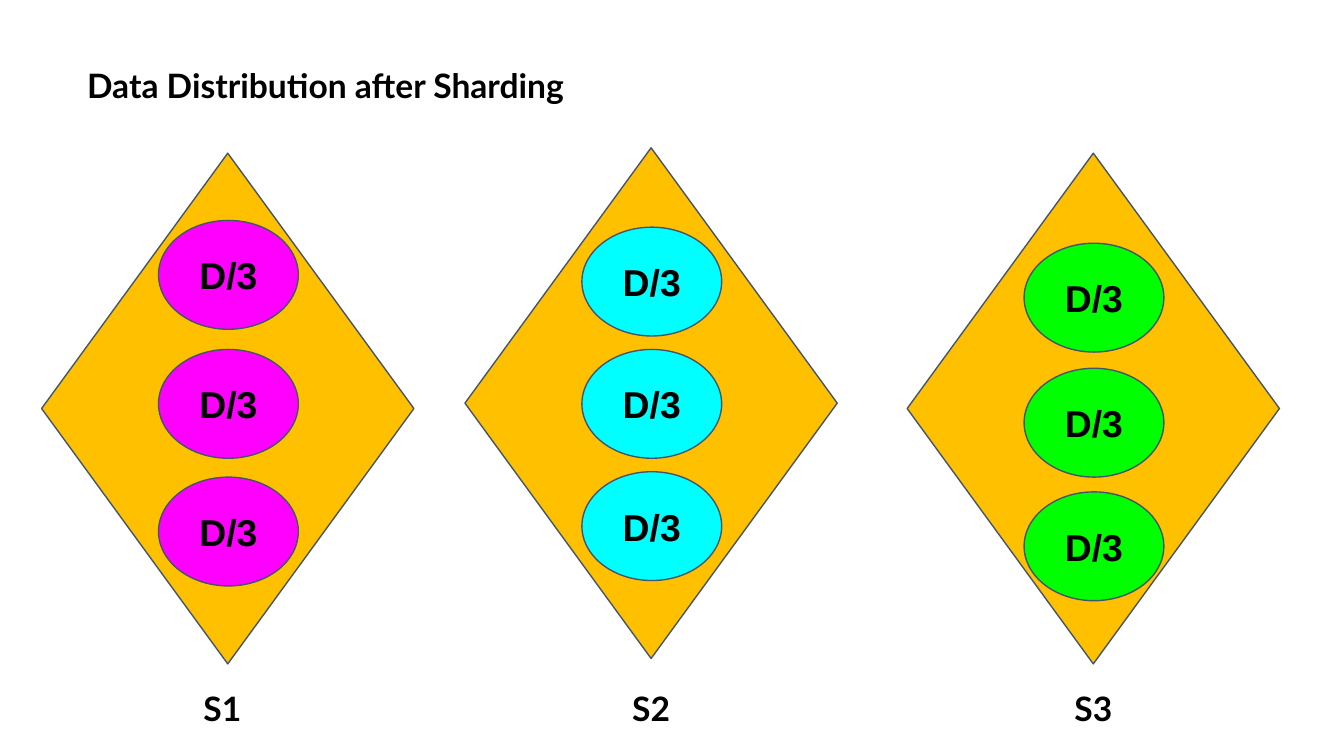
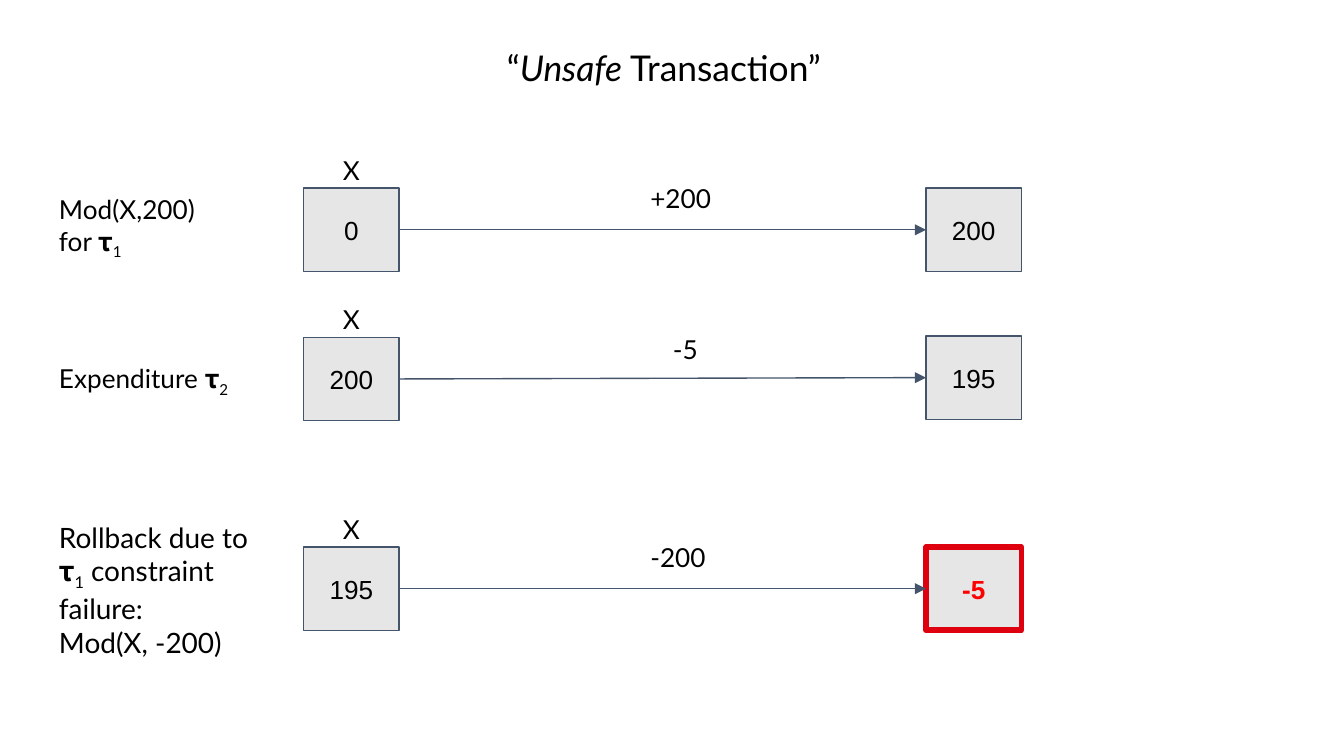
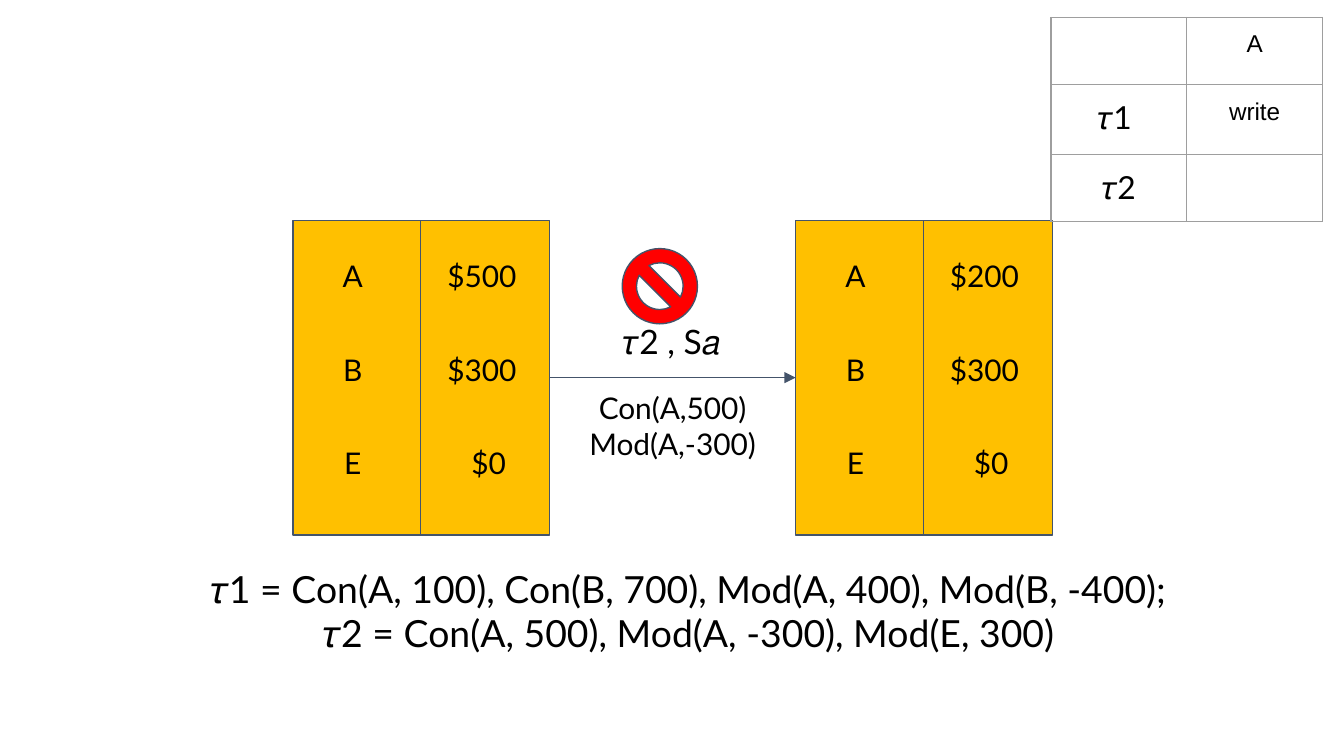
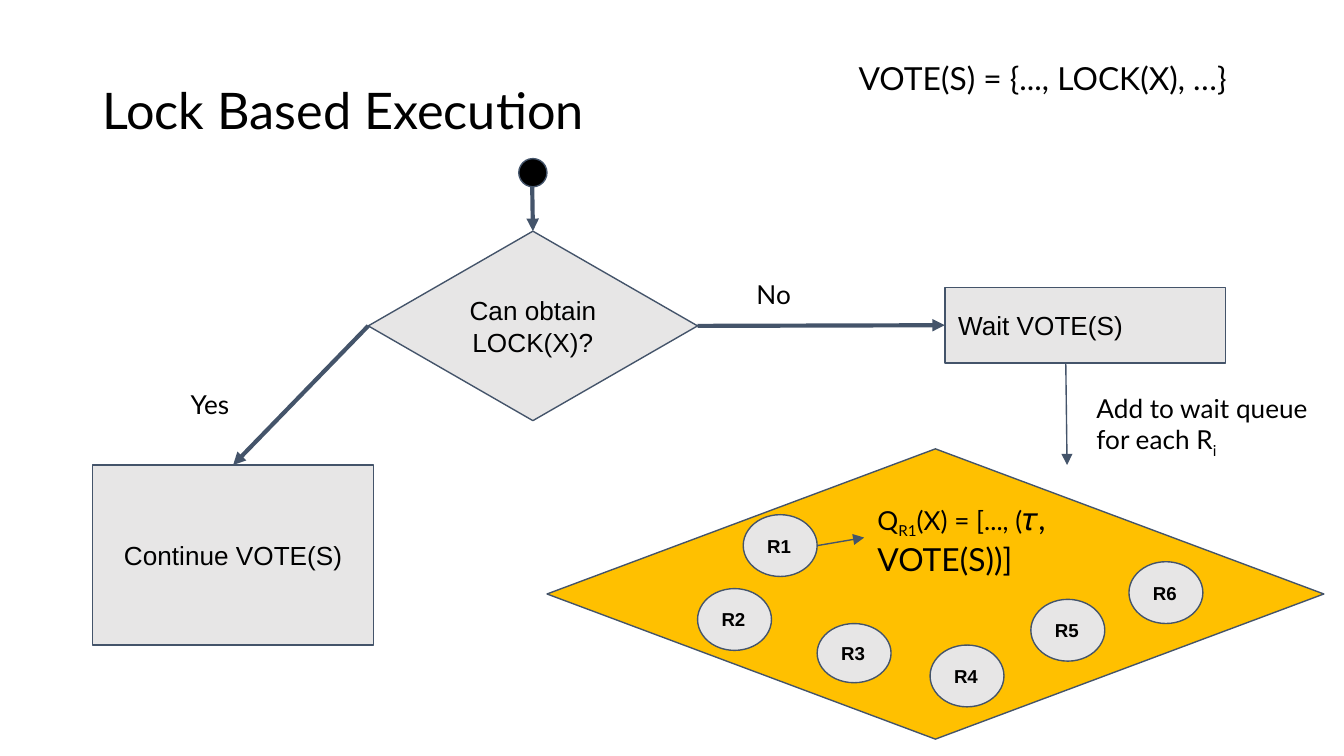
"""Build four slides on sharding, unsafe transactions and lock based execution."""
from lxml import etree
from pptx import Presentation
from pptx.dml.color import RGBColor
from pptx.enum import shapes, text
from pptx.oxml import ns
from pptx.util import Inches, Pt

INK, SLATE, GREY, GOLD, RED = "000000", "44546A", "E7E6E6", "FFC000", "FF0000"
HEADING, BODY = "Lato", "Arial"
KIND = shapes.MSO_SHAPE
LEFT, CENTER = text.PP_ALIGN.LEFT, text.PP_ALIGN.CENTER
hex_color = RGBColor.from_string


def put(slide, box, words="", size=14, align=CENTER, bold=False, kind=None, fill=GREY):
    """Place a preset shape, or a text box if no kind is given; | parts runs."""
    left, top, width, height = [Inches(length) for length in box]
    if kind is None:
        item = slide.shapes.add_textbox(left, top, width, height)
    else:
        item = slide.shapes.add_shape(kind, left, top, width, height)
        item.shadow.inherit = False
        item.fill.solid()
        item.fill.fore_color.rgb = hex_color(fill)
        item.line.color.rgb = hex_color(SLATE)
        item.line.width = Pt(0.75)
    if not words:
        return item
    frame = item.text_frame
    frame.word_wrap = True
    frame.margin_left = frame.margin_right = Inches(0.1)
    frame.margin_top = frame.margin_bottom = Inches(0.1)
    if kind is None:
        frame.auto_size = text.MSO_AUTO_SIZE.SHAPE_TO_FIT_TEXT
    else:
        frame.vertical_anchor = text.MSO_ANCHOR.MIDDLE
    frame.text = words
    for paragraph in frame.paragraphs:
        first, *others = paragraph.text.split("|")
        paragraph.text = first
        for part in others:
            paragraph.add_run().text = part
        paragraph.alignment = align
        for run in paragraph.runs:
            run.font.name = HEADING if kind is None else BODY
            run.font.size = Pt(size)
            run.font.bold = bold
            run.font.color.rgb = hex_color(INK)
    return item


def connect(slide, start, end, width=0.75, arrow=True):
    """Draw a line between two points, or between (shape, side) pairs."""
    points = [(0, 0) if hasattr(place[0], "shape_id") else place for place in (start, end)]
    line = slide.shapes.add_connector(
        shapes.MSO_CONNECTOR.STRAIGHT, *[Inches(length) for point in points for length in point])
    if hasattr(start[0], "shape_id"):
        line.begin_connect(*start)
    if hasattr(end[0], "shape_id"):
        line.end_connect(*end)
    line.line.color.rgb = hex_color(SLATE)
    line.line.width = Pt(width)
    properties = line._element.spPr
    if arrow:
        etree.SubElement(properties.find(ns.qn("a:ln")), ns.qn("a:tailEnd"), type="triangle")
    etree.SubElement(properties, ns.qn("a:effectLst"))


deck = Presentation()
deck.slide_width = Inches(10)
deck.slide_height = deck.slide_width * 9 // 16
sharding, unsafe, conflict, locking = [
    deck.slides.add_slide(deck.slide_layouts[6]) for _ in range(4)]
subscripted = []

put(sharding, (0.55, 0.38, 4.09, 0.5), "Data Distribution after Sharding", 18, LEFT, True)
shards = [
    ("S1", 0.31, 1.14, 1.28, "FF00FF", (1.64, 2.6, 3.55)),
    ("S2", 3.46, 1.1, 4.47, "00FFFF", (1.69, 2.6, 3.51)),
    ("S3", 6.75, 1.14, 7.76, "00FF00", (1.81, 2.74, 3.66)),
]
for shard, left, top, label_left, data_color, data_tops in shards:
    put(sharding, (left, top, 2.77, 3.8), kind=KIND.DIAMOND, fill=GOLD)
    for data_top in data_tops:
        put(sharding, (left + 0.87, data_top, 1.04, 0.81), "D/3", 20,
            bold=True, kind=KIND.OVAL, fill=data_color)
    put(sharding, (label_left, 5.02, 0.75, 0.5), shard, 18, bold=True)

heading = put(unsafe, (0.69, 0.24, 8.5, 0.52), "“|Unsafe| Transaction”", 19)
heading.text_frame.paragraphs[0].runs[1].font.italic = True
operations = [
    (1.4, 1.4, (0.34, 1.34, 1.38, 0.67), "Mod(X,200) for 𝛕|1", 14,
     "0", "+200", (4.74, 1.26, 0.71, 0.44), LEFT, "200"),
    (2.51, 2.5, (0.34, 2.6, 1.78, 0.44), "Expenditure 𝛕|2", 14,
     "200", "-5", (3.62, 2.38, 2.96, 0.44), CENTER, "195"),
    (4.07, 4.07, (0.34, 3.77, 1.78, 1.21),
     "Rollback due to 𝛕|1| constraint failure:\nMod(X, -200)", 15,
     "195", "-200", (4.74, 3.93, 0.71, 0.44), LEFT, "-5"),
]
for (top, new_top, label_box, label, label_size,
     before, change, change_box, change_align, after) in operations:
    subscripted.append(put(unsafe, label_box, label, label_size, LEFT))
    put(unsafe, (2.35, top - 0.35, 0.53, 0.44), "X")
    old_value = put(unsafe, (2.26, top, 0.71, 0.62), before, kind=KIND.RECTANGLE)
    new_value = put(unsafe, (6.89, new_top, 0.71, 0.62), after, kind=KIND.RECTANGLE)
    connect(unsafe, (old_value, 3), (new_value, 1))
    put(unsafe, change_box, change, align=change_align)
new_value.line.color.rgb = hex_color("DF000F")
new_value.line.width = Pt(3)
negative = new_value.text_frame.paragraphs[0].runs[0].font
negative.bold = True
negative.color.rgb = hex_color(RED)

put(conflict, (1.19, 4.11, 7.87, 0.88),
    "𝜏1 = Con(A, 100), Con(B, 700), Mod(A, 400), Mod(B, -400);\n"
    "𝜏2 = Con(A, 500), Mod(A, -300), Mod(E, 300)", 20)
states = []
for left, balance in ((2.18, "$500"), (5.92, "$200")):
    states.append(put(conflict, (left, 1.64, 1.91, 2.34), kind=KIND.RECTANGLE, fill=GOLD))
    connect(conflict, (left + 0.95, 1.64), (left + 0.95, 3.98), arrow=False)
    accounts = (("A", balance, 1.82, 1.01), ("B", "$300", 2.52, 1.01), ("E", "$0", 3.21, 1.11))
    for account, amount, top, indent in accounts:
        put(conflict, (left + 0.1, top, 0.69, 0.47), account, 16)
        put(conflict, (left + indent, top, 1.8 - indent, 0.47), amount, 16)
connect(conflict, (states[0], 3), (states[1], 1))
put(conflict, (4.02, 2.29, 1.95, 0.5), "𝜏2 , S𝑎", 18)
put(conflict, (4.05, 2.8, 1.91, 0.74), "Con(A,500)\nMod(A,-300)", 16)

lock_rows = [("", "A"), ("𝜏1 ", "write"), ("𝜏2", "")]
locks = conflict.shapes.add_table(
    3, 2, Inches(7.82), Inches(0.13), Inches(2.02), Inches(1.44)).table
locks.first_row = locks.horz_banding = False
for row, height in zip(locks.rows, (0.43, 0.52, 0.49)):
    row.height = Inches(height)
for row, entries in enumerate(lock_rows):
    for column, entry in enumerate(entries):
        cell = locks.cell(row, column)
        cell.margin_left = cell.margin_right = Inches(0.1)
        cell.margin_top = cell.margin_bottom = Inches(0.1)
        for side in ("lnL", "lnR", "lnT", "lnB"):
            border = etree.SubElement(
                cell._tc.get_or_add_tcPr(), ns.qn("a:" + side), w=str(Pt(0.75)))
            paint = etree.SubElement(border, ns.qn("a:solidFill"))
            etree.SubElement(paint, ns.qn("a:srgbClr"), val="9E9E9E")
        cell.fill.background()
        if not entry:
            continue
        cell.text_frame.text = entry
        paragraph = cell.text_frame.paragraphs[0]
        paragraph.alignment = CENTER
        for run in paragraph.runs:
            run.font.name = BODY if column else HEADING
            run.font.size = Pt(13 if column else 17)
            run.font.color.rgb = hex_color(INK)
ban = put(conflict, (4.63, 1.85, 0.56, 0.56), kind=KIND.NO_SYMBOL, fill=RED)
ban.adjustments[0] = 0.19

title = put(locking, (0.69, 0.3, 8.62, 1.09), "Lock Based Execution", 27, LEFT).text_frame
title.auto_size = text.MSO_AUTO_SIZE.NONE
title.vertical_anchor = text.MSO_ANCHOR.MIDDLE
title.margin_left = title.margin_right = Inches(0.07)
title.margin_top = title.margin_bottom = Inches(0.04)
title.paragraphs[0].line_spacing = 0.9
vote = put(locking, (6.29, 0.37, 3.29, 0.46), "VOTE(S) = {..., LOCK(X), …}", 17, LEFT)
vote.text_frame.paragraphs[0].line_spacing = 0.9
vote.text_frame.paragraphs[0].space_before = Pt(8)

put(locking, (3.86, 1.18, 0.21, 0.21), kind=KIND.FLOWCHART_CONNECTOR, fill=INK)
question = put(locking, (2.74, 1.72, 2.45, 1.41), "Can obtain LOCK(X)?",
               kind=KIND.FLOWCHART_DECISION)
proceed = put(locking, (0.69, 3.46, 2.09, 1.34), "Continue VOTE(S)",
              kind=KIND.FLOWCHART_PROCESS)
wait = put(locking, (7.03, 2.14, 2.09, 0.56), "Wait VOTE(S)", align=LEFT,
           kind=KIND.FLOWCHART_PROCESS)
connect(locking, (3.96, 1.39), (question, 0), 2.25)
connect(locking, (question, 1), (proceed, 0), 2.25)
connect(locking, (question, 3), (wait, 1), 2.25)
connect(locking, (7.93, 2.7), (7.94, 3.46))
put(locking, (1.32, 2.79, 1, 0.43), "Yes", align=LEFT)
put(locking, (5.53, 1.97, 1.15, 0.43), "No", align=LEFT)
subscripted.append(put(
    locking, (8.06, 2.82, 1.79, 0.67), "Add to wait queue for each R|i", align=LEFT))

put(locking, (4.07, 3.34, 5.78, 2.16), kind=KIND.FLOWCHART_DECISION, fill=GOLD)
replicas = [(5.53, 3.83, 0.46), (5.19, 4.38, 0.46), (6.08, 4.64, 0.44),
            (6.92, 4.8, 0.46), (7.67, 4.46, 0.46), (8.4, 4.18, 0.46)]
for number, (left, top, height) in enumerate(replicas, 1):
    put(locking, (left, top, 0.55, height), f"R{number}", 10, LEFT, True,
        KIND.FLOWCHART_CONNECTOR)
queue = put(locking, (6.43, 3.61, 1.79, 0.77), "Q|R1|(X) = [..., (|𝜏, VOTE(S))]", align=LEFT)
queue.text_frame.paragraphs[0].runs[3].font.size = Pt(17)
subscripted.append(queue)
connect(locking, (6.08, 4.06), (6.43, 4))

for label in subscripted:
    subscript = label.text_frame.paragraphs[0].runs[1]
    subscript._r.get_or_add_rPr().set("baseline", "-25000")

deck.save("out.pptx")
